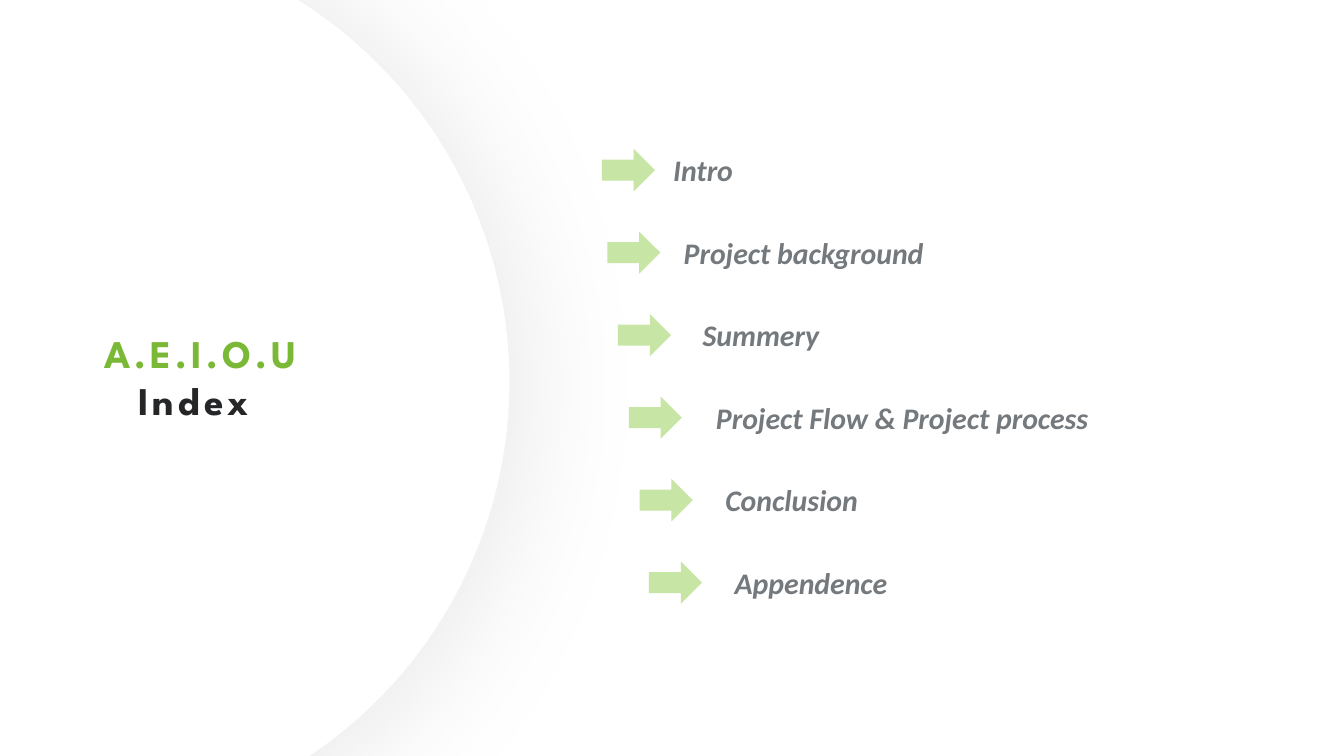
from lxml import etree
from pptx import Presentation
from pptx.dml.color import RGBColor
from pptx.enum import shapes, text
from pptx.oxml import ns
from pptx.util import Pt

WHITE = RGBColor(0xFF, 0xFF, 0xFF)
GREEN = RGBColor(0x7A, 0xB9, 0x35)
PALE_GREEN = RGBColor(0xC7, 0xE5, 0xA5)
INK = RGBColor(0x24, 0x26, 0x28)
GREY = RGBColor(0x74, 0x79, 0x7E)

ROW_PITCH = 44.2
# label, arrow left, label left and label width, the lefts from the list's left edge
ENTRIES = [
    ("Intro", 0, 31, 132),
    ("Project background", 2.9, 36.7, 216.7),
    ("Summery", 8.6, 46.8, 132),
    ("Project Flow & Project process", 14.4, 54, 233.3),
    ("Conclusion", 20.2, 59, 125.3),
    ("Appendence", 25.2, 64, 126),
]


def add_shape(s, kind, left, top, width, height, color):
    sp = s.shapes.add_shape(kind, Pt(left), Pt(top), Pt(width), Pt(height))
    sp.shadow.inherit = False
    sp.fill.solid()
    sp.fill.fore_color.rgb = color
    sp.line.fill.background()
    return sp


def add_text(s, left, top, width, height, content):
    sp = s.shapes.add_textbox(Pt(left), Pt(top), Pt(width), Pt(height))
    tf = sp.text_frame
    tf.word_wrap = True
    tf.auto_size = text.MSO_AUTO_SIZE.SHAPE_TO_FIT_TEXT
    tf.text = content
    return tf


def style_run(r, name, size, color, italic=None):
    r.font.name = name
    r.font.size = Pt(size)
    r.font.bold = True
    r.font.italic = italic
    r.font.color.rgb = color


def add_soft_shadow(sp, blur, distance, angle, opacity):
    """Give the shape a black outer shadow; angle in degrees, opacity in percent."""
    effects = sp._element.spPr.find(ns.qn("a:effectLst"))
    shadow = etree.SubElement(
        effects, ns.qn("a:outerShdw"), blurRad=str(Pt(blur)), dist=str(Pt(distance)),
        dir=str(angle * 60000), algn="ctr", rotWithShape="0")
    color = etree.SubElement(shadow, ns.qn("a:srgbClr"), val="000000")
    etree.SubElement(color, ns.qn("a:alpha"), val=str(opacity * 1000))


def add_disc(s, left, top, size):
    sp = add_shape(s, shapes.MSO_SHAPE.OVAL, left, top, size, size, WHITE)
    add_soft_shadow(sp, blur=77, distance=5, angle=45, opacity=10)


def add_title(s, left, top, width, height):
    tf = add_text(s, left, top, width, height, " A.E.I.O.U\nIndex")
    for p, color in zip(tf.paragraphs, (GREEN, INK)):
        p.alignment = text.PP_ALIGN.CENTER
        r = p.runs[0]
        style_run(r, "League Spartan", 21, color)
        r.font._element.set("spc", "220")


def add_index(s, left, top):
    for i, (label, arrow_x, label_x, width) in enumerate(ENTRIES):
        y = top + i * ROW_PITCH
        add_shape(s, shapes.MSO_SHAPE.RIGHT_ARROW,
                  left + arrow_x, y + 2, 28.4, 22.7, PALE_GREEN)
        tf = add_text(s, left + label_x, y, width, 26.6, label)
        style_run(tf.paragraphs[0].runs[0], "Calibri", 16, GREY, italic=True)


def main():
    prs = Presentation()
    prs.slide_width, prs.slide_height = Pt(720), Pt(405)
    s = prs.slides.add_slide(prs.slide_layouts[6])
    s.background.fill.solid()
    s.background.fill.fore_color.rgb = WHITE
    add_disc(s, -209.5, -36.7, 482.4)
    add_title(s, 17.3, 172.8, 172.8, 58.3)
    add_index(s, 322.5, 77.8)
    prs.save("out.pptx")


if __name__ == "__main__":
    main()
